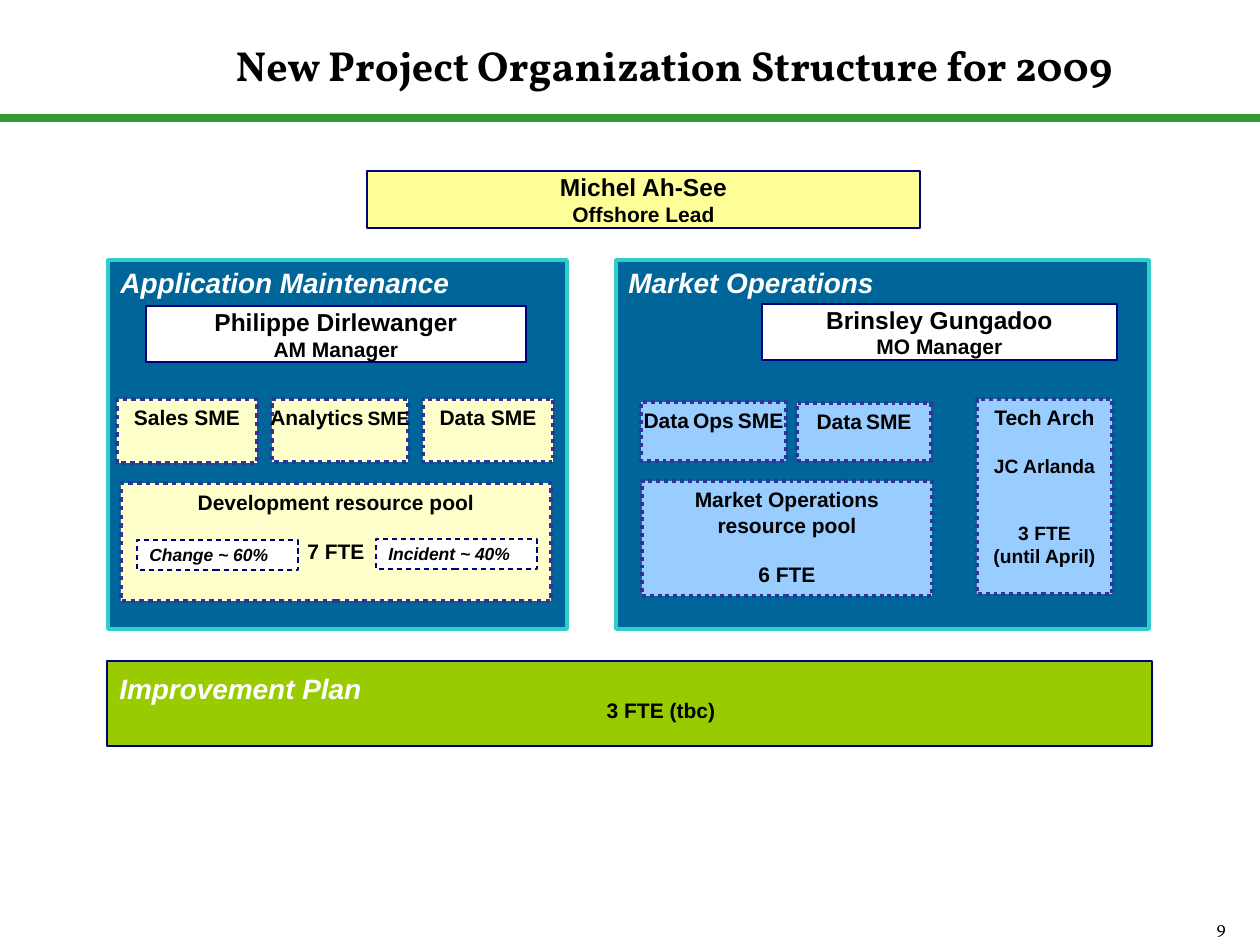
"""Build the 2009 project organization slide."""
from lxml import etree
from pptx import Presentation
from pptx.dml.color import RGBColor
from pptx.enum.dml import MSO_LINE
from pptx.enum.shapes import MSO_CONNECTOR, MSO_SHAPE
from pptx.enum.text import MSO_ANCHOR, PP_ALIGN
from pptx.oxml.ns import qn
from pptx.util import Emu, Pt

LEFT, CENTER, RIGHT = PP_ALIGN.LEFT, PP_ALIGN.CENTER, PP_ALIGN.RIGHT
TOP, MIDDLE = MSO_ANCHOR.TOP, MSO_ANCHOR.MIDDLE
DOTTED, DASHED = MSO_LINE.ROUND_DOT, MSO_LINE.DASH
RECTANGLE, STRAIGHT = MSO_SHAPE.RECTANGLE, MSO_CONNECTOR.STRAIGHT
COLORS = {
    "black": "000000", "white": "FFFFFF", "rule": "339933", "panel": "006699",
    "panel_edge": "33CCCC", "navy": "000080", "dots": "333399", "sky": "99CCFF",
    "cream": "FFFFCC", "yellow": "FFFF99", "lime": "99CC00",
}


def emu(px):
    return Emu(round(px * 914400 / 126))


def write(box, text, size=12, font="Arial", color="black", bold=True, italic=False,
          align=CENTER, anchor=TOP, wrap=False, margin_top=6):
    """Each line is a string or a (space before, (words, size), ...) tuple."""
    frame = box.text_frame
    frame.word_wrap = wrap
    frame.vertical_anchor = anchor
    frame.margin_top = emu(margin_top)
    for index, line in enumerate([text] if isinstance(text, str) else text):
        gap, *runs = (0, (line, size)) if isinstance(line, str) else line
        para = frame.add_paragraph() if index else frame.paragraphs[0]
        para.alignment = align
        if gap:
            para.space_before = Pt(gap)
        for words, points in runs:
            span = para.add_run()
            span.text = words
            span.font.name = font
            span.font.size = Pt(points)
            span.font.bold = bold
            span.font.italic = italic
            span.font.color.rgb = RGBColor.from_string(COLORS[color])


deck = Presentation()
deck.slide_width, deck.slide_height = emu(1260), emu(945)
page = deck.slides.add_slide(deck.slide_layouts[6])

rule = page.shapes.add_connector(STRAIGHT, 0, emu(118), emu(1260), emu(118))
rule.line.color.rgb = RGBColor.from_string(COLORS["rule"])
rule.line.width = Pt(4.5)
etree.SubElement(rule._element.spPr, qn("a:effectLst"))

captions = [
    ((192, 34, 964, 49), "New Project Organization Structure for 2009",
     {"size": 24}),
    ((1102, 911, 136, 37), "9", {"size": 10, "bold": False, "align": RIGHT}),
]
for place, text, form in captions:
    box = page.shapes.add_textbox(*map(emu, place))
    write(box, text, font="Vollkorn", wrap=True, **form)

heading = {"size": 16, "color": "white", "italic": True, "align": LEFT}
share = {"size": 10, "italic": True, "align": LEFT, "anchor": MIDDLE}
middle = {"anchor": MIDDLE}
panel = ("panel", "panel_edge", 2, None)
skill = ("sky", "dots", 2.25, DOTTED)
pool = ("cream", "dots", 2.5, DOTTED)
person = ("white", "navy", 0.75, None)
split = ("white", "navy", 0.75, DASHED)
space = (" ", 8)

boxes = [
    ((108, 260, 459, 369), panel, "Application Maintenance", heading),
    ((616, 260, 533, 369), panel, "Market Operations", heading),
    ((797, 403, 134, 58), skill, [(0, ("Data", 12), space, ("SME", 12))], {}),
    ((641, 402, 145, 59), skill,
     [(0, ("Data", 12), space, ("Ops", 12), space, ("SME", 12))], {}),
    ((117, 399, 140, 64), pool, "Sales SME", {}),
    ((272, 399, 136, 63), pool, [(0, ("Analytics", 12), space, ("SME", 11))], {}),
    ((423, 399, 130, 63), ("cream", "dots", 2.25, DOTTED), "Data SME", {}),
    ((146, 306, 380, 56), person,
     [(0, ("Philippe Dirlewanger", 14)), "AM Manager"], middle),
    ((762, 304, 355, 56), person,
     [(0, ("Brinsley Gungadoo", 14)), "MO Manager"], middle),
    ((367, 171, 553, 57), ("yellow", "navy", 0.75, None),
     [(0, ("Michel Ah-See", 14)), "Offshore Lead"], middle),
    ((977, 399, 135, 195), skill,
     ["Tech Arch", (14, ("JC Arlanda", 11)), (25, ("3 FTE", 11)),
      (0, ("(until April)", 11))], {}),
    ((107, 661, 1045, 85), ("lime", "navy", 0.75, None), "Improvement Plan",
     {**heading, "margin_top": 10}),
    ((121, 483, 430, 118), pool,
     ["Development resource pool", (14, ("7 FTE", 12))], {}),
    ((642, 481, 290, 115), skill,
     ["Market Operations", "resource pool", (14, ("6 FTE", 12))], {}),
    ((396, 682, 530, 57), ("lime", None, 0, None), "3 FTE (tbc)", middle),
    ((137, 540, 161, 30), split, "Change ~ 60%", share),
    ((376, 539, 161, 30), split, "Incident ~ 40%", share),
]
for place, (fill, edge, weight, dash), text, form in boxes:
    box = page.shapes.add_shape(RECTANGLE, *map(emu, place))
    box.shadow.inherit = False
    box.fill.solid()
    box.fill.fore_color.rgb = RGBColor.from_string(COLORS[fill])
    if edge:
        box.line.color.rgb = RGBColor.from_string(COLORS[edge])
        box.line.width = Pt(weight)
        box.line.dash_style = dash
    else:
        box.line.fill.background()
    write(box, text, **form)

deck.save("out.pptx")
